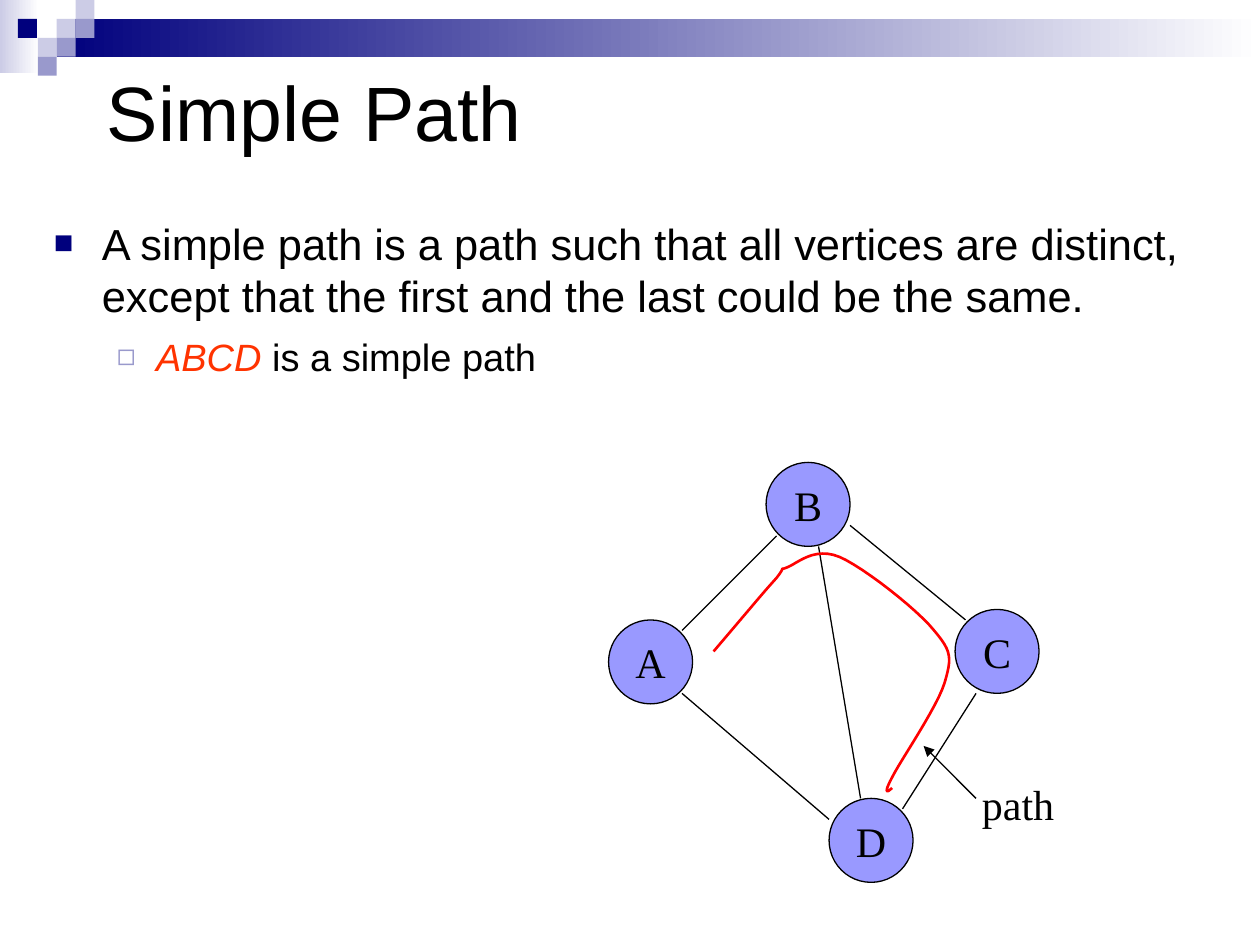
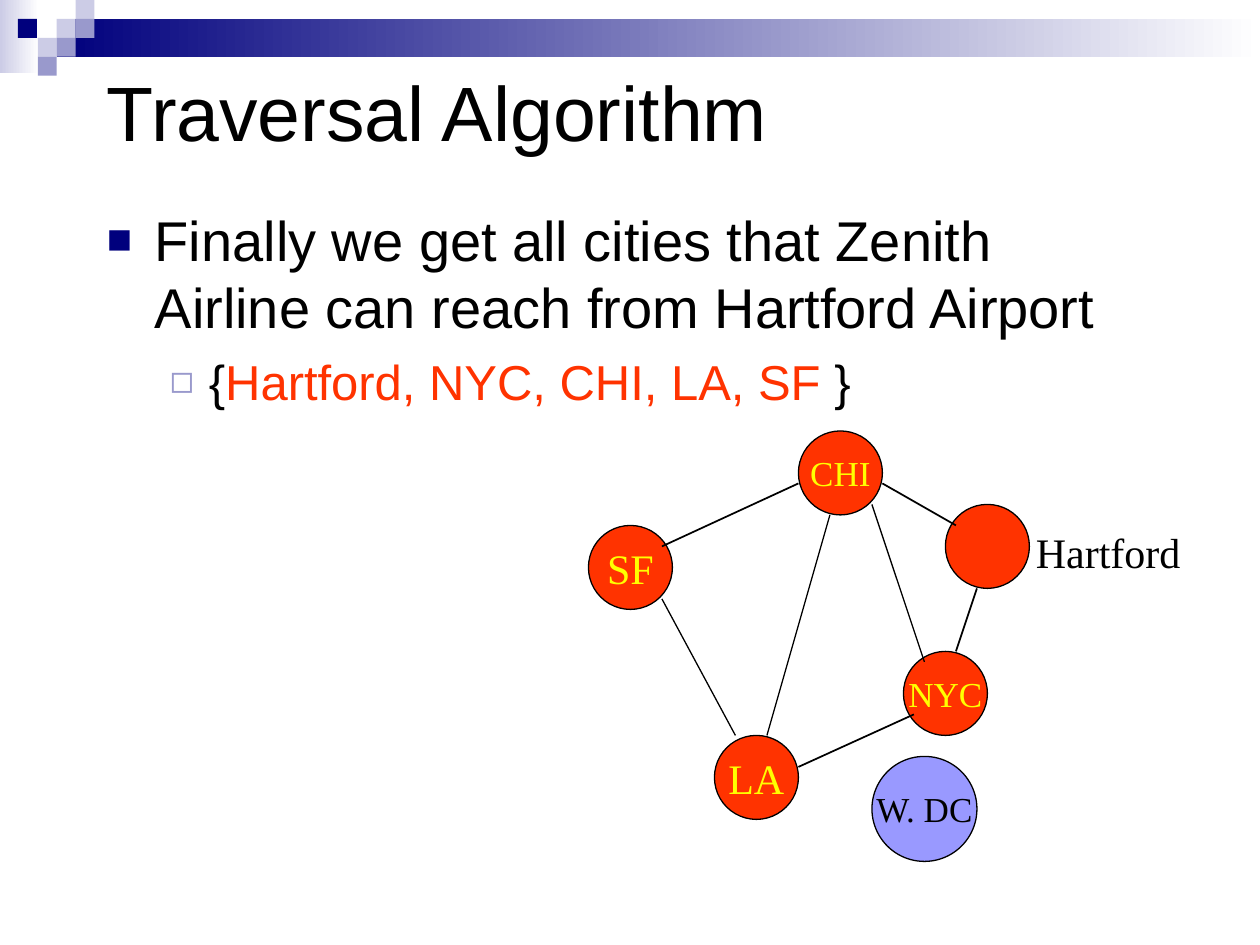
from lxml import etree
from pptx import Presentation
from pptx.dml.color import RGBColor
from pptx.enum.shapes import MSO_CONNECTOR, MSO_SHAPE
from pptx.enum.text import MSO_ANCHOR, PP_ALIGN
from pptx.oxml.ns import qn
from pptx.util import Inches, Pt

RECT, OVAL, STRAIGHT = MSO_SHAPE.RECTANGLE, MSO_SHAPE.OVAL, MSO_CONNECTOR.STRAIGHT
MIDDLE, TOP, CENTER = MSO_ANCHOR.MIDDLE, MSO_ANCHOR.TOP, PP_ALIGN.CENTER

BLACK = RGBColor(0x00, 0x00, 0x00)
WHITE = RGBColor(0xFF, 0xFF, 0xFF)
NAVY = RGBColor(0x00, 0x00, 0x7D)
LILAC = RGBColor(0x99, 0x99, 0xCC)
PALE = RGBColor(0xCC, 0xCC, 0xE6)
NODE_BLUE = RGBColor(0x99, 0x99, 0xFF)
ORANGE = RGBColor(0xFF, 0x33, 0x00)
YELLOW = RGBColor(0xFF, 0xFF, 0x00)
RED = RGBColor(0xFF, 0x00, 0x00)

SANS, SERIF = "Arial", "Times New Roman"
NODE = 8  # node diameter in graph grid units

# Per level: left margin, hanging indent, space before, bullet, colour, size
BULLETS = [(0.38, 0.38, 8, "■", NAVY, 75), (0.81, 0.31, 7, "◻", LILAC, 80)]


def grid(n):
    """Length of n graph grid units of a twelfth of an inch."""
    return Inches(n / 12)


def add_run(p, text, size, color=BLACK, font=SANS, italic=False):
    r = p.add_run()
    r.text = text
    r.font.name, r.font.size, r.font.italic = font, Pt(size), italic
    r.font.color.rgb = color


def add_textbox(s, box, anchor=TOP, wrap=True):
    tf = s.shapes.add_textbox(*box).text_frame
    tf.word_wrap = wrap
    tf.vertical_anchor = anchor
    return tf


# Shared band and title
def add_rect(s, left, top, width, height, color, fade=False):
    sp = s.shapes.add_shape(RECT, *map(Inches, (left, top, width, height)))
    sp.shadow.inherit = False
    sp.line.fill.background()
    if fade:
        sp.fill.gradient()
        sp.fill.gradient_angle = 0
        for stop, stop_color in zip(sp.fill.gradient_stops, (color, WHITE)):
            stop.color.rgb = stop_color
    else:
        sp.fill.solid()
        sp.fill.fore_color.rgb = color


def add_band(s):
    side = 0.15
    add_rect(s, 0, 0, 0.31, 0.58, PALE, fade=True)
    add_rect(s, 3 * side, side, 10 - 3 * side, 2 * side, NAVY, fade=True)
    for col, row, color in [(3, 1, PALE), (4, 0, PALE), (4, 1, LILAC), (2, 2, PALE),
                            (0.95, 1, NAVY), (3, 2, LILAC), (2, 3, LILAC)]:
        add_rect(s, col * side, row * side, side, side, color)


def add_title(s, text):
    box = map(Inches, (0.75, 0.25, 8.5, 1.25))
    add_run(add_textbox(s, box, MIDDLE).paragraphs[0], text, 44)


# Bulleted text
def set_bullet(p, level):
    left, hang, before, char, color, size = BULLETS[level]
    pPr = p._p.get_or_add_pPr()
    pPr.set("marL", str(Inches(left)))
    pPr.set("indent", str(-Inches(hang)))
    clr = etree.SubElement(pPr, qn("a:buClr"))
    etree.SubElement(clr, qn("a:srgbClr"), val=str(color))
    etree.SubElement(pPr, qn("a:buSzPct"), val=str(size * 1000))
    etree.SubElement(pPr, qn("a:buFont"), typeface=SANS)
    etree.SubElement(pPr, qn("a:buChar"), char=char)
    p.level = level
    if level:
        p.space_before = Pt(before)


def add_body(s, box, sizes, items):
    """One paragraph per level; each item is a list of (text, color, italic)."""
    tf = add_textbox(s, map(Inches, box))
    for level, (size, runs) in enumerate(zip(sizes, items)):
        p = tf.add_paragraph() if level else tf.paragraphs[0]
        set_bullet(p, level)
        for text, color, italic in runs:
            add_run(p, text, size, color, italic=italic)


# Graph parts, placed in grid units from the graph's origin
def add_node(s, origin, x, y, text, size=24, fill=NODE_BLUE, color=BLACK, side=NODE):
    sp = s.shapes.add_shape(OVAL, origin[0] + grid(x), origin[1] + grid(y),
                            grid(side), grid(side))
    sp.shadow.inherit = False
    sp.fill.solid()
    sp.fill.fore_color.rgb = fill
    sp.line.color.rgb, sp.line.width = BLACK, Pt(0.75)
    if text:
        tf = sp.text_frame
        tf.word_wrap = False
        tf.vertical_anchor = MIDDLE
        p = tf.paragraphs[0]
        p.alignment = CENTER
        add_run(p, text, size, color, SERIF)


def add_edge(s, origin, x1, y1, x2, y2, width=0.75, arrow=False):
    line = s.shapes.add_connector(STRAIGHT, origin[0] + grid(x1), origin[1] + grid(y1),
                                  origin[0] + grid(x2), origin[1] + grid(y2))
    line.line.color.rgb, line.line.width = BLACK, Pt(width)
    if arrow:
        etree.SubElement(line.line._get_or_add_ln(), qn("a:tailEnd"), type="triangle")
    etree.SubElement(line._element.spPr, qn("a:effectLst"))


def add_label(s, origin, x, y, width, height, text):
    box = origin[0] + grid(x), origin[1] + grid(y), grid(width), grid(height)
    tf = add_textbox(s, box, MIDDLE, wrap=False)
    tf.margin_left = tf.margin_right = 0  # keeps the label on one line
    p = tf.paragraphs[0]
    p.alignment = CENTER
    add_run(p, text, 24, BLACK, SERIF)


def curve_points(start, segments, steps=12):
    """Points along a chain of cubic Bezier segments."""
    points = [start]
    for c1, c2, end in segments:
        for i in range(1, steps + 1):
            t = i / steps
            u = 1 - t
            points.append(tuple(
                u**3 * a + 3 * u * u * t * b + 3 * u * t * t * c + t**3 * d
                for a, b, c, d in zip(start, c1, c2, end)))
        start = end
    return points


def add_curve(s, origin, start, segments):
    points = [(origin[0] + grid(x), origin[1] + grid(y))
              for x, y in curve_points(start, segments)]
    builder = s.shapes.build_freeform(*points[0])
    builder.add_line_segments(points[1:], close=False)
    sp = builder.convert_to_shape()
    sp.shadow.inherit = False
    sp.fill.background()
    sp.line.color.rgb, sp.line.width = RED, Pt(1.5)


def add_path_graph(s, left, top):
    origin = Inches(left), Inches(top)
    for name, x, y in [("B", 15, 0), ("C", 33, 14), ("D", 21, 32), ("A", 0, 15)]:
        add_node(s, origin, x, y, name)
    for edge in [(16, 7, 7, 16), (7, 22, 21, 34), (28, 33, 35, 22),
                 (20, 8, 24, 32), (23, 6, 34, 15)]:
        add_edge(s, origin, *edge)
    add_edge(s, origin, 35, 32, 30, 27, arrow=True)
    add_label(s, origin, 34, 30, 10, 5, "path")
    add_curve(s, origin, (10, 18), [
        ((12.4, 15.2), (14.8, 12.3), (16, 11)),
        ((17.1, 9.6), (16, 10.4), (17, 10)),
        ((18, 9.6), (19.6, 8), (22, 9)),
        ((24.3, 10), (29.4, 14), (31, 16)),
        ((32.7, 18), (32.7, 18.6), (32, 21)),
        ((31.3, 23.3), (27.8, 28.4), (27, 30)),
        ((26.1, 31.7), (26.6, 31.4), (27, 31))])


def add_city_graph(s, left, top):
    origin = Inches(left), Inches(top)
    for name, x, y, size in [("CHI", 20, 0, 20), ("", 34, 7, 24), ("NYC", 30, 21, 20),
                             ("LA", 12, 29, 24), ("SF", 0, 9, 24)]:
        add_node(s, origin, x, y, name, size, ORANGE, YELLOW)
    for edge in [(7, 11, 20, 5, 1), (7, 16, 14, 29), (23, 8, 17, 29), (27, 7, 32, 22),
                 (20, 32, 31, 27, 1), (28, 5, 35, 9, 1), (37, 15, 35, 21, 1)]:
        add_edge(s, origin, *edge)
    add_label(s, origin, 42, 8, 15, 7, "Hartford")
    add_node(s, origin, 27, 31, "W. DC", 20, side=10)


# Slides
def new_slide(prs, title):
    s = prs.slides.add_slide(prs.slide_layouts[6])
    add_band(s)
    add_title(s, title)
    return s


def simple_path_slide(prs):
    s = new_slide(prs, "Simple Path")
    add_body(s, (0.33, 1.67, 9.42, 1.58), (24.8, 21.7), [
        [("A simple path is a path such that all vertices are distinct, "
          "except that the first and the last could be the same.", BLACK, False)],
        [("ABCD", ORANGE, True), (" is a simple path", BLACK, False)]])
    add_path_graph(s, 4.83, 3.67)


def traversal_slide(prs):
    s = new_slide(prs, "Traversal Algorithm")
    add_body(s, (0.75, 1.58, 8.5, 4.5), (32, 28), [
        [("Finally we get all cities that Zenith Airline can reach "
          "from Hartford Airport", BLACK, False)],
        [("{", BLACK, False), ("Hartford, NYC, CHI, LA, SF", ORANGE, False),
         (" }", BLACK, False)]])
    add_city_graph(s, 4.67, 3.42)


def main():
    prs = Presentation()
    prs.slide_width, prs.slide_height = Inches(10), Inches(7.5)
    simple_path_slide(prs)
    traversal_slide(prs)
    prs.save("out.pptx")


if __name__ == "__main__":
    main()
